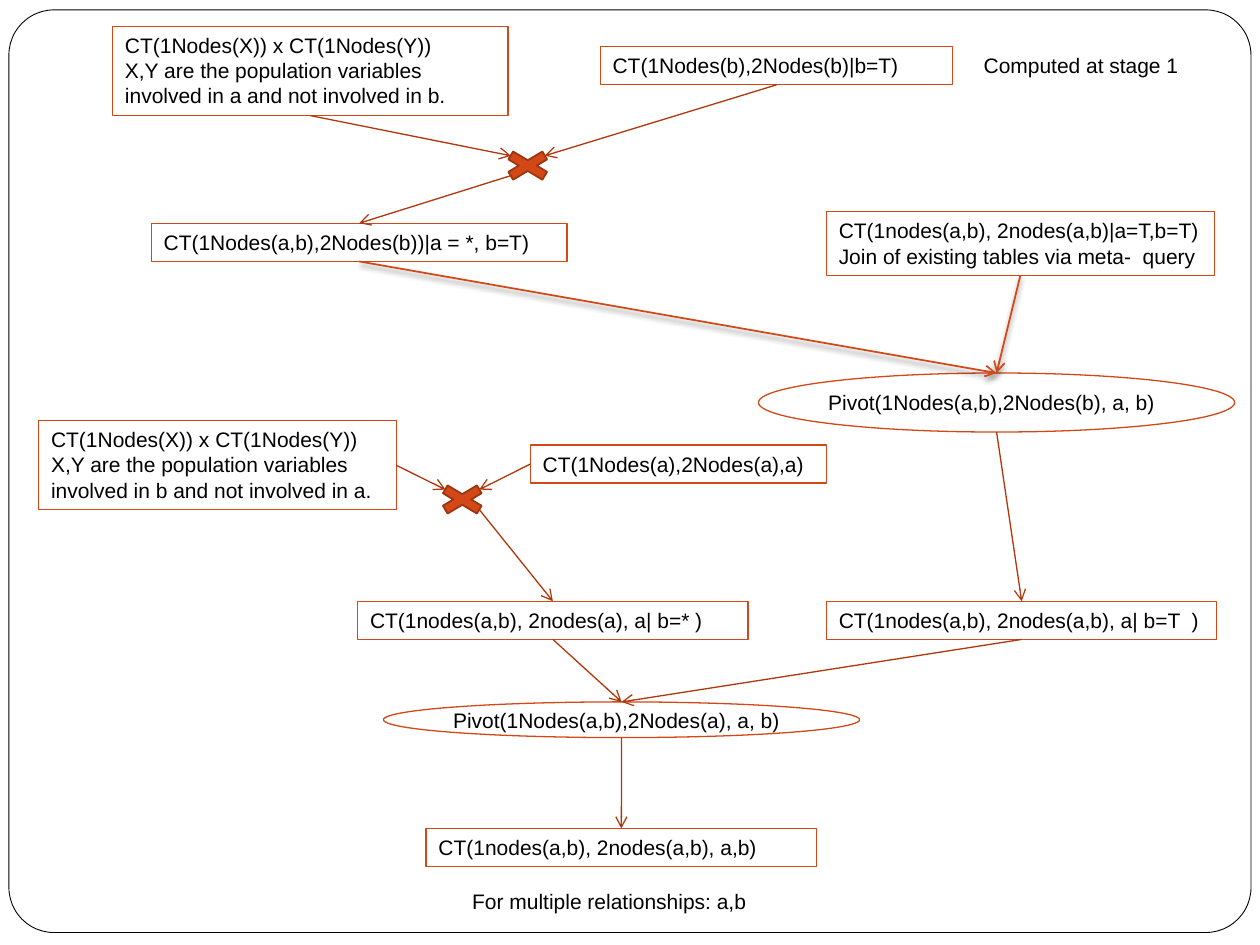
from dataclasses import dataclass

from lxml import etree
from pptx import Presentation
from pptx import util as u
from pptx.dml.color import RGBColor
from pptx.enum import shapes, text
from pptx.oxml.ns import qn


@dataclass(frozen=True)
class Theme:
    ink: RGBColor = RGBColor(0x00, 0x00, 0x00)
    paper: RGBColor = RGBColor(0xFF, 0xFF, 0xFF)
    accent: RGBColor = RGBColor(0xD3, 0x48, 0x17)
    arrow: RGBColor = RGBColor(0xB1, 0x36, 0x0B)
    cross_edge: RGBColor = RGBColor(0x9C, 0x35, 0x11)
    font: str = "Arial"
    text_size: float = 12
    frame_line: float = 0.5
    thin_line: float = 0.75
    strong_line: float = 1


@dataclass(frozen=True)
class Node:
    """A text node of the flow; lengths in centimetres."""
    words: str
    left: float
    top: float
    width: float
    height: float = 0.77
    oval: bool = False
    plain: bool = False      # white outline
    inset: bool = True
    middle: bool = False
    grow: bool = True


THEME = Theme()
TOP, LEFT, BOTTOM, RIGHT = range(4)
CROSS_SIZE = (1.32, 0.79)
CROSS_ARM = (0.34, 0.2)      # from the centre of a cross to its arm ends
PRODUCT = ("CT(1Nodes(X)) x CT(1Nodes(Y))\n"
           "X,Y are the population variables involved in {} and not involved in {}.")
PIVOT = "Pivot(1Nodes(a,b),2Nodes({}), a, b)"

NODES = {
    "product_a": Node(PRODUCT.format("a", "b"), 2.27, 0.53, 7.97, 1.8),
    "given_b": Node("CT(1Nodes(b),2Nodes(b)|b=T)", 12.1, 0.94, 7.11),
    "stage_note": Node("Computed at stage 1", 19.58, 0.94, 4.62, plain=True),
    "star_a": Node("CT(1Nodes(a,b),2Nodes(b))|a = *, b=T)", 3.05, 4.5, 8.38),
    "join": Node("CT(1nodes(a,b), 2nodes(a,b)|a=T,b=T)\vJoin of existing tables via meta-  query",
                 16.66, 4.27, 7.82, 1.28),
    "pivot_b": Node(PIVOT.format("b"), 15.29, 7.52, 9.6, 1.19, oval=True,
                    inset=False, middle=True, grow=False),
    "product_b": Node(PRODUCT.format("b", "a"), 0.78, 8.48, 7.21, 1.8),
    "table_a": Node("CT(1Nodes(a),2Nodes(a),a)", 10.69, 8.97, 5.97),
    "star_b": Node("CT(1nodes(a,b), 2nodes(a), a| b=* )", 7.21, 12.12, 7.87),
    "true_b": Node("CT(1nodes(a,b), 2nodes(a,b), a| b=T  )", 16.66, 12.12, 7.87),
    "pivot_a": Node(PIVOT.format("a"), 7.73, 14.15, 9.6, 0.72, oval=True, inset=False),
    "result": Node("CT(1nodes(a,b), 2nodes(a,b), a,b)", 8.59, 16.7, 7.87),
    "caption": Node("For multiple relationships: a,b", 9.52, 17.75, 6.02, 0.84,
                    plain=True, inset=False, middle=True, grow=False),
}

# Cross centre, the two inputs with their sides, the output and the arm it leaves from
CROSSES = [
    ((10.64, 3.34), ("product_a", BOTTOM), ("given_b", BOTTOM), "star_a", -1),
    ((9.32, 10.07), ("product_b", RIGHT), ("table_a", LEFT), "star_b", 1),
]

# Source, target and whether the arrow is strong and shadowed
FLOWS = [
    ("join", "pivot_b", True),
    ("star_a", "pivot_b", True),
    ("pivot_b", "true_b", False),
    ("star_b", "pivot_a", False),
    ("true_b", "pivot_a", False),
    ("pivot_a", "result", False),
]


def add_outline(slide, kind, left, top, width, height, line, weight, fill=None):
    shape = slide.shapes.add_shape(kind, u.Cm(left), u.Cm(top), u.Cm(width), u.Cm(height))
    shape.shadow.inherit = False
    if fill is None:
        shape.fill.background()
    else:
        shape.fill.solid()
        shape.fill.fore_color.rgb = fill
    shape.line.color.rgb = line
    shape.line.width = u.Pt(weight)
    return shape


def add_node(slide, node: Node):
    kind = shapes.MSO_SHAPE.OVAL if node.oval else shapes.MSO_SHAPE.RECTANGLE
    shape = add_outline(slide, kind, node.left, node.top, node.width, node.height,
                        THEME.paper if node.plain else THEME.accent, THEME.thin_line)
    frame = shape.text_frame
    frame.text = node.words
    frame.word_wrap = True
    frame.auto_size = (text.MSO_AUTO_SIZE.SHAPE_TO_FIT_TEXT if node.grow
                       else text.MSO_AUTO_SIZE.NONE)
    frame.vertical_anchor = text.MSO_ANCHOR.MIDDLE if node.middle else text.MSO_ANCHOR.TOP
    if not node.inset:
        frame.margin_left = frame.margin_right = frame.margin_top = frame.margin_bottom = 0
    for paragraph in frame.paragraphs:
        paragraph.alignment = text.PP_ALIGN.LEFT
        for run in paragraph.runs:
            run.font.name = THEME.font
            run.font.size = u.Pt(THEME.text_size)
            run.font.color.rgb = THEME.ink
        for line_break in paragraph._p.findall(qn("a:br")):
            etree.SubElement(line_break, qn("a:rPr"), sz=str(int(THEME.text_size * 100)))
    return shape


def side_point(shape, side: int) -> tuple[int, int]:
    across = {LEFT: 0, RIGHT: shape.width}.get(side, shape.width // 2)
    down = {TOP: 0, BOTTOM: shape.height}.get(side, shape.height // 2)
    return shape.left + across, shape.top + down


def add_arrow(slide, start, end, source=None, target=None, strong: bool = False) -> None:
    """Draw from start to end; source and target are (shape, side) joints."""
    arrow = slide.shapes.add_connector(shapes.MSO_CONNECTOR.STRAIGHT, *start, *end)
    if source:
        arrow.begin_connect(*source)
    if target:
        arrow.end_connect(*target)
    arrow.line.color.rgb = THEME.accent if strong else THEME.arrow
    arrow.line.width = u.Pt(THEME.strong_line if strong else THEME.thin_line)
    properties = arrow._element.spPr
    etree.SubElement(arrow.line._get_or_add_ln(), qn("a:tailEnd"), type="arrow")
    effects = etree.SubElement(properties, qn("a:effectLst"))
    if strong:
        shadow = etree.SubElement(effects, qn("a:outerShdw"), blurRad=str(u.Pt(3)),
                                  dist=str(u.Pt(2)), dir="5400000", rotWithShape="0")
        color = etree.SubElement(shadow, qn("a:srgbClr"), val=str(THEME.ink))
        etree.SubElement(color, qn("a:alpha"), val="50000")


def add_cross(slide, drawn: dict, centre, first, second, output: str, exit_arm: int) -> None:
    width, height = CROSS_SIZE
    add_outline(slide, shapes.MSO_SHAPE.MATH_MULTIPLY, centre[0] - width / 2,
                centre[1] - height / 2, width, height,
                THEME.cross_edge, THEME.strong_line, THEME.accent)

    def arm(across: int, down: int) -> tuple[int, int]:
        return (u.Cm(centre[0] + across * CROSS_ARM[0]),
                u.Cm(centre[1] + down * CROSS_ARM[1]))

    for (name, side), across in ((first, -1), (second, 1)):
        shape = drawn[name]
        add_arrow(slide, side_point(shape, side), arm(across, -1), source=(shape, side))
    shape = drawn[output]
    add_arrow(slide, arm(exit_arm, 1), side_point(shape, TOP), target=(shape, TOP))


def main() -> None:
    presentation = Presentation()
    presentation.slide_width, presentation.slide_height = u.Cm(25.4), u.Cm(19.05)
    slide = presentation.slides.add_slide(presentation.slide_layouts[6])

    # Rounded frame
    frame = add_outline(slide, shapes.MSO_SHAPE.ROUNDED_RECTANGLE, 0.18, 0.2, 25.04, 18.6,
                        THEME.ink, THEME.frame_line, THEME.paper)
    frame.adjustments[0] = 0.049

    # Tables, pivots and notes
    drawn = {name: add_node(slide, node) for name, node in NODES.items()}

    # Cross products with their arrows
    for cross in CROSSES:
        add_cross(slide, drawn, *cross)

    # Remaining flow; an oval's bottom is not joint 2, so it stays free
    for source, target, strong in FLOWS:
        begin, end = drawn[source], drawn[target]
        add_arrow(slide, side_point(begin, BOTTOM), side_point(end, TOP),
                  source=None if NODES[source].oval else (begin, BOTTOM),
                  target=(end, TOP), strong=strong)

    presentation.save("out.pptx")


if __name__ == "__main__":
    main()
